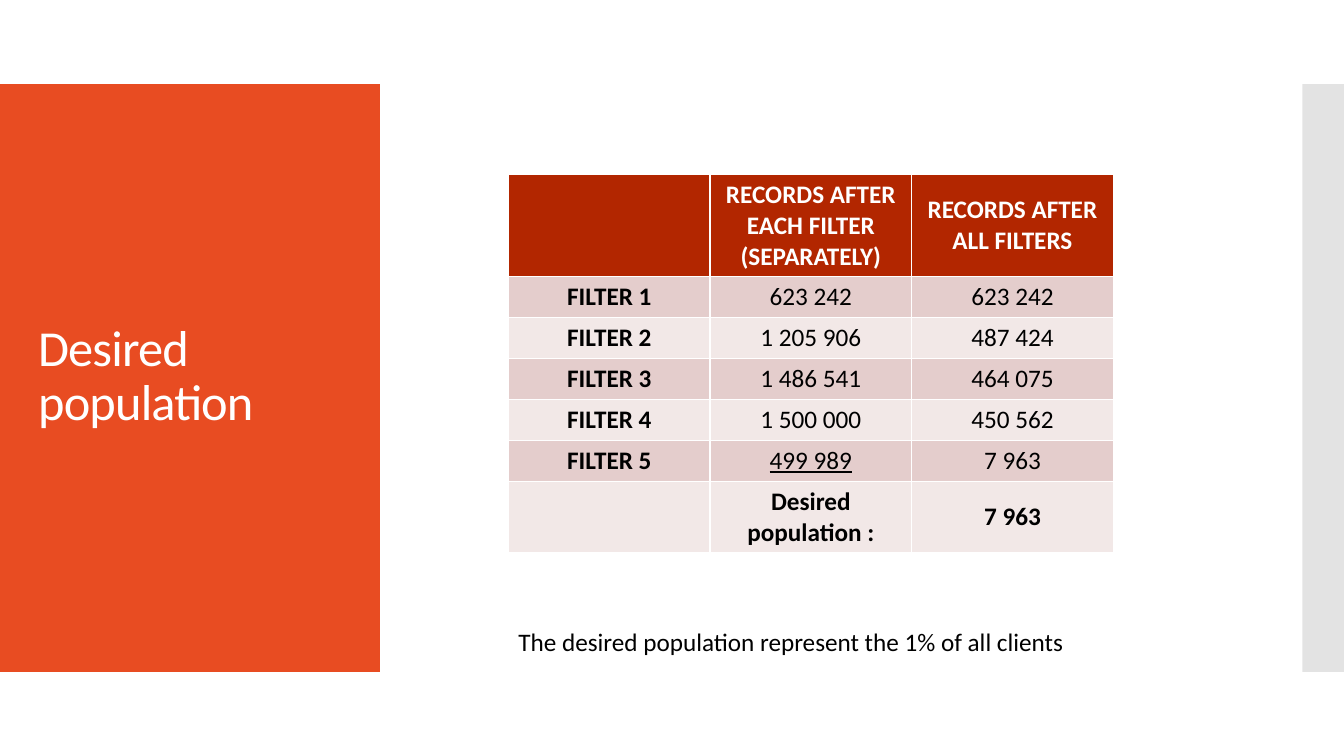
from pptx import Presentation
from pptx.dml.color import RGBColor
from pptx.enum.shapes import MSO_SHAPE
from pptx.enum.text import MSO_ANCHOR, MSO_AUTO_SIZE, PP_ALIGN
from pptx.oxml import parse_xml
from pptx.oxml.ns import nsdecls, qn
from pptx.util import Pt

ORANGE = RGBColor(0xE8, 0x4C, 0x22)
GREY = RGBColor(0xC8, 0xC8, 0xC8)
RED = RGBColor(0xB2, 0x26, 0x00)
ROSE = RGBColor(0xE4, 0xCD, 0xCC)
PALE = RGBColor(0xF2, 0xE8, 0xE7)
WHITE = RGBColor(0xFF, 0xFF, 0xFF)
BLACK = RGBColor(0x00, 0x00, 0x00)

ROWS = [
    ("", "RECORDS AFTER EACH FILTER (SEPARATELY)", "RECORDS AFTER ALL FILTERS"),
    ("FILTER 1", "623 242", "623 242"),
    ("FILTER 2", "1 205 906", "487 424"),
    ("FILTER 3", "1 486 541", "464 075"),
    ("FILTER 4", "1 500 000", "450 562"),
    ("FILTER 5", "499 989", "7 963"),
    ("", "Desired population :", "7 963"),
]


def write(frame, text, size, color, align=PP_ALIGN.LEFT, bold=False):
    """Put one styled paragraph into a text frame."""
    frame.text = text
    para = frame.paragraphs[0]
    para.alignment = align
    for run in para.runs:
        font = run.font
        font.name, font.size, font.bold = "Calibri", Pt(size), bold
        font.color.rgb = color


def add_band(left, width, color):
    """Add a plain side band behind the title."""
    band = slide.shapes.add_shape(
        MSO_SHAPE.RECTANGLE, Pt(left), Pt(60), Pt(width), Pt(420))
    band.shadow.inherit = False
    band.fill.solid()
    band.fill.fore_color.rgb = color
    band.line.fill.background()
    title.element.addprevious(band.element)
    return band


deck = Presentation()
deck.slide_width, deck.slide_height = Pt(960), Pt(540)
slide = deck.slides.add_slide(deck.slide_layouts[5])
title = slide.shapes.title

# Side bands
add_band(0, 271.3, ORANGE)
strip = add_band(930.3, 29.7, GREY)
tint = strip.element.spPr.find(qn("a:solidFill")).find(qn("a:srgbClr"))
tint.append(parse_xml(f'<a:alpha {nsdecls("a")} val="50000"/>'))

# Title
title.left, title.top, title.width, title.height = Pt(20), Pt(88.6), Pt(232), Pt(362)
frame = title.text_frame
write(frame, "Desired population", 36, WHITE)
frame.auto_size = MSO_AUTO_SIZE.NONE
frame.vertical_anchor = MSO_ANCHOR.MIDDLE
frame.paragraphs[0].line_spacing = 0.9
for props in title.element.iter(qn("a:rPr")):
    props.set("spc", "-60")

# Filter table; the default style draws the white borders
heights = [72.6] + [29.2] * 5 + [50.4]
table = slide.shapes.add_table(
    len(ROWS), 3, Pt(363.2), Pt(124.6), Pt(432), Pt(sum(heights))).table
last = len(ROWS) - 1
for i, row in enumerate(ROWS):
    table.rows[i].height = Pt(heights[i])
    for j, text in enumerate(row):
        cell = table.cell(i, j)
        cell.vertical_anchor = MSO_ANCHOR.MIDDLE
        cell.fill.solid()
        cell.fill.fore_color.rgb = RED if i == 0 else ROSE if i % 2 else PALE
        write(cell.text_frame, text, 18, BLACK if i else WHITE,
              PP_ALIGN.CENTER, i in (0, last) or j == 0)
table.cell(5, 1).text_frame.paragraphs[0].runs[0].font.underline = True

# Closing remark
note = slide.shapes.add_textbox(Pt(363.2), Pt(443.8), Pt(486), Pt(29))
note.text_frame.word_wrap = True
write(note.text_frame, "The desired population represent the 1% of all clients", 18, BLACK)

deck.save("out.pptx")
